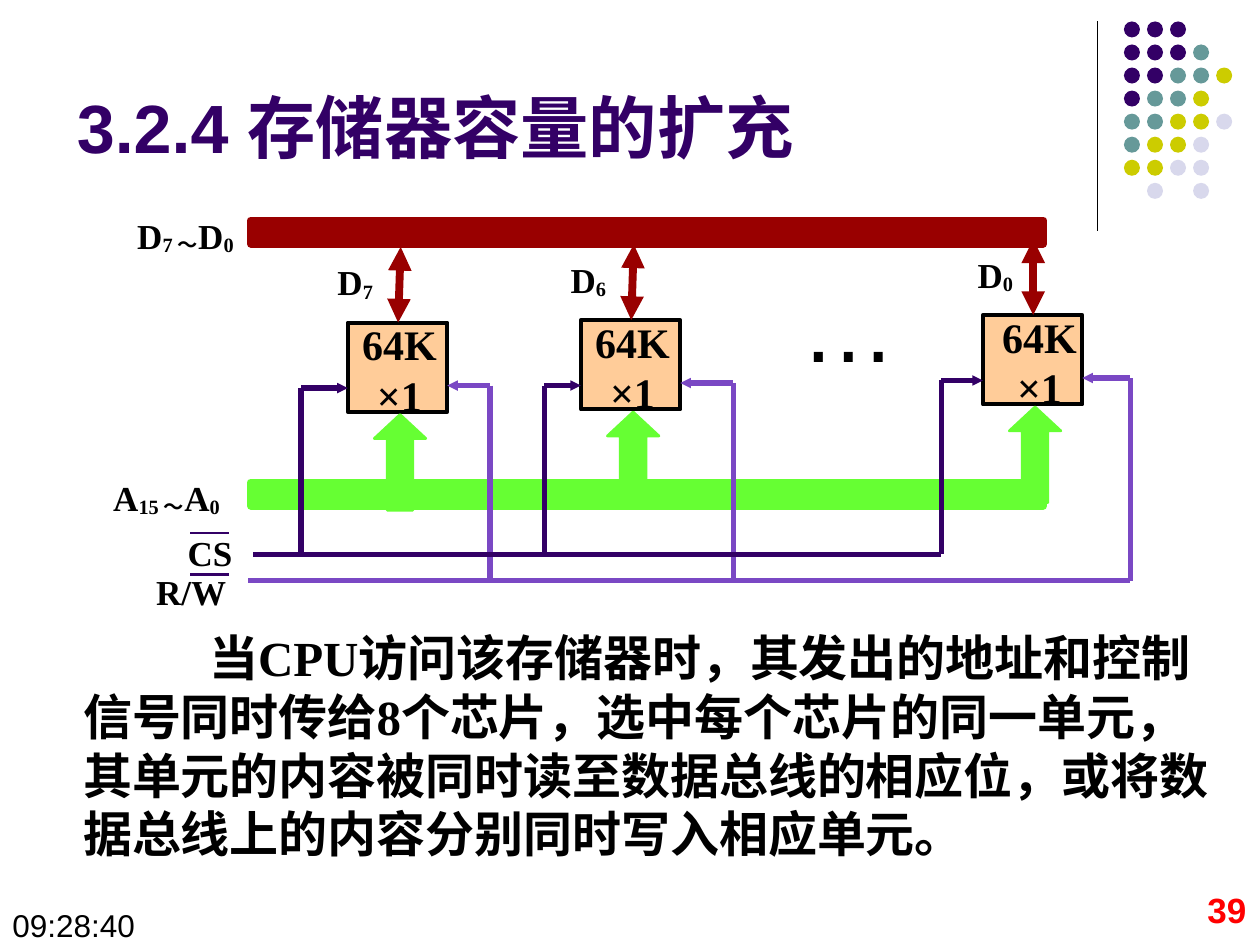
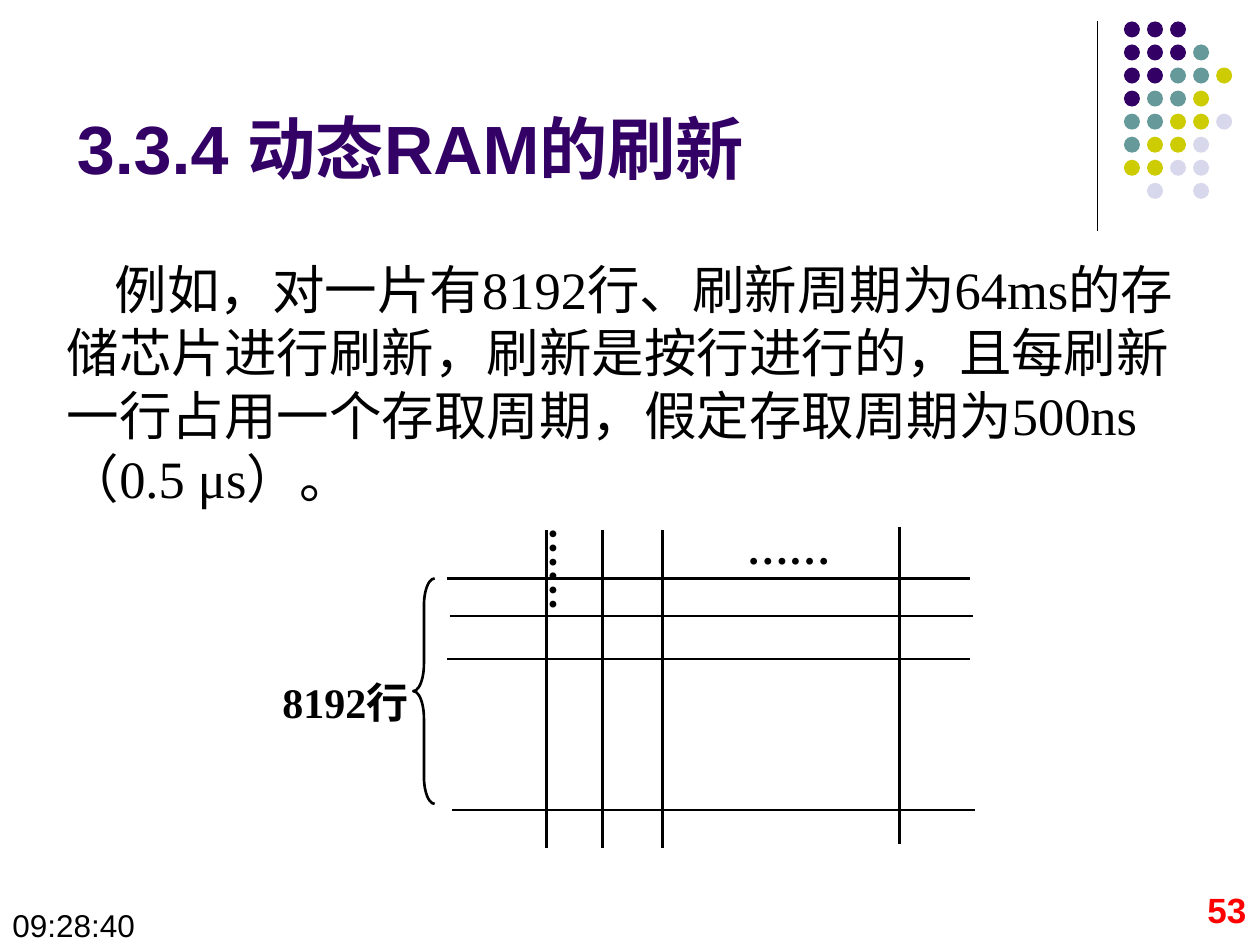
"""Build two slides on memory expansion and dynamic RAM refresh."""
from dataclasses import dataclass

from lxml.etree import SubElement
from pptx import Presentation
from pptx.dml.color import RGBColor
from pptx.enum.shapes import MSO_CONNECTOR, MSO_SHAPE
from pptx.enum.text import MSO_ANCHOR, MSO_AUTO_SIZE, PP_ALIGN
from pptx.oxml.ns import qn
from pptx.util import Inches, Pt


@dataclass(frozen=True)
class Theme:
    """Colours, fonts and type sizes of the deck."""
    ink: str = "000000"
    purple: str = "330066"
    violet: str = "7A48C4"
    teal: str = "669999"
    olive: str = "CCCC00"
    lilac: str = "D8D8EC"
    red: str = "990000"
    green: str = "66FF33"
    peach: str = "FFCC99"
    page: str = "FF0000"
    sans: str = "Arial"
    serif: str = "Times New Roman"
    title_size: int = 39
    ellipsis_size: int = 54
    chip_size: int = 24
    label_size: int = 20
    clock_size: int = 18


@dataclass(frozen=True)
class Chip:
    """A memory chip with its data bit and control-line columns."""
    left: float
    top: float
    bit: str
    select_column: float
    write_column: float
    lean: float = 0
    text_shift: float = 0


THEME = Theme()
COLUMNS, ROWS = 100, 75
CELL = Inches(0.1)
CHIP_WIDTH, CHIP_HEIGHT = 7.9, 7.1
SELECT_ROW, WRITE_ROW = 44, 46.1
BUS_LEFT, BUS_WIDTH = 19.9, 62.9
DOT_ROWS = ("PPP", "PPPT", "PPTTY", "PTTY", "TTYYL", "TYYL", "YYLL", " L L")
DOT_PITCH, DOT_SIZE = 1.83, 1.27
CHIPS = (
    Chip(27.6, 25.6, "7", 23.9, 38.9, lean=0.2),
    Chip(46.1, 25.4, "6", 43.2, 58.2, lean=0.2),
    Chip(78, 25, "0", 74.7, 89.7, text_shift=0.4),
)


def cells(*counts):
    """Convert grid counts to lengths."""
    return [round(count * CELL) for count in counts]


def add_run(paragraph, text, size, font=THEME.serif, colour=THEME.ink, bold=True, baseline=0):
    """Append one formatted run."""
    run = paragraph.add_run()
    run.text = text
    run.font.size = Pt(size)
    run.font.name = font
    run.font.bold = bold
    run.font.color.rgb = RGBColor.from_string(colour)
    if baseline:
        run._r.get_or_add_rPr().set("baseline", str(baseline * 1000))


def add_textbox(slide, box, align=PP_ALIGN.LEFT):
    """Add a wrapping text box and return it with its first paragraph."""
    shape = slide.shapes.add_textbox(*cells(*box))
    shape.text_frame.word_wrap = True
    paragraph = shape.text_frame.paragraphs[0]
    paragraph.alignment = align
    return shape, paragraph


def add_label(slide, box, *parts):
    """Add a signal name; parts alternate between plain and lowered text."""
    _, paragraph = add_textbox(slide, box)
    for index, part in enumerate(parts):
        add_run(paragraph, part, THEME.label_size, baseline=-10 * (index % 2))


def add_block(shapes, kind, box, fill=None, line=None, width=0):
    """Add a preset shape with a flat fill and outline."""
    shape = shapes.add_shape(kind, *cells(*box))
    shape.shadow.inherit = False
    if fill:
        shape.fill.solid()
        shape.fill.fore_color.rgb = RGBColor.from_string(fill)
    else:
        shape.fill.background()
    if line:
        shape.line.color.rgb = RGBColor.from_string(line)
        shape.line.width = Pt(width)
    else:
        shape.line.fill.background()
    return shape


def add_line(shapes, start, end, colour=THEME.ink, width=1.5, ends=(), head="med"):
    """Add a straight line with triangles at the named ends."""
    connector = shapes.add_connector(MSO_CONNECTOR.STRAIGHT, *cells(*start, *end))
    connector.line.color.rgb = RGBColor.from_string(colour)
    connector.line.width = Pt(width)
    line = connector.line._get_or_add_ln()
    for name in ends:
        SubElement(line, qn(f"a:{name}"), type="triangle", w=head, len=head)
    SubElement(connector.element.spPr, qn("a:effectLst"))


def place(placeholder, box):
    """Move a placeholder and return its first paragraph."""
    placeholder.left, placeholder.top, placeholder.width, placeholder.height = cells(*box)
    placeholder.text_frame.auto_size = MSO_AUTO_SIZE.NONE
    placeholder.text_frame.word_wrap = True
    paragraph = placeholder.text_frame.paragraphs[0]
    paragraph.alignment = PP_ALIGN.LEFT
    paragraph.space_before = Pt(0)
    return paragraph


def set_title(slide, box, text):
    """Fill the title placeholder."""
    paragraph = place(slide.shapes.title, box)
    slide.shapes.title.text_frame.vertical_anchor = MSO_ANCHOR.BOTTOM
    add_run(paragraph, text, THEME.title_size, THEME.sans, THEME.purple)


def set_body(slide, box, text, size, indent, bold):
    """Fill the body placeholder with one indented paragraph."""
    paragraph = place(slide.placeholders[1], box)
    properties = paragraph._p.get_or_add_pPr()
    properties.set("marL", "0")
    properties.set("indent", str(cells(indent)[0]))
    SubElement(properties, qn("a:buNone"))
    add_run(paragraph, text, size, bold=bold)


def add_footer(slide, number):
    """Add the clock and the page number."""
    _, page = add_textbox(slide, (76.6, ROWS - 5, 23.3, 5), PP_ALIGN.RIGHT)
    add_run(page, number, THEME.label_size, THEME.sans, THEME.page)
    _, clock = add_textbox(slide, (0, ROWS - 3.6, 13, 3.5))
    add_run(clock, "09:28:40", THEME.clock_size, THEME.sans, bold=False)


def decorate_layout(layout, slide):
    """Put the rule and the dot pattern on the shared layout."""
    for placeholder in list(layout.placeholders):
        if placeholder.placeholder_format.idx >= 10:
            placeholder.element.getparent().remove(placeholder.element)
    colours = {"P": THEME.purple, "T": THEME.teal, "Y": THEME.olive, "L": THEME.lilac}
    group = slide.shapes.add_group_shape()
    add_line(group.shapes, (87.1, 1.7), (87.1, 18.3), width=0.75)
    for row, pattern in enumerate(DOT_ROWS):
        for column, key in enumerate(pattern):
            if key in colours:
                box = (89.2 + column * DOT_PITCH, 1.7 + row * DOT_PITCH, DOT_SIZE, DOT_SIZE)
                add_block(group.shapes, MSO_SHAPE.OVAL, box, colours[key])
    layout.shapes.element.append(group.element)


def add_chip(slide, chip):
    """Draw a chip with its address and data arrows."""
    add_block(slide.shapes, MSO_SHAPE.RECTANGLE,
              (chip.left, chip.top, CHIP_WIDTH, CHIP_HEIGHT), THEME.peach, THEME.ink, 2.25)
    arrow = add_block(slide.shapes, MSO_SHAPE.UP_ARROW,
                      (chip.left + 2.1, chip.top + 7.3, 4.1, 7.6), THEME.green, THEME.green, 1.5)
    arrow.adjustments[1] = 0.465
    middle = chip.left + 4
    add_line(slide.shapes, (middle + chip.lean, chip.top - 6), (middle, chip.top),
             THEME.red, 4.5, ("headEnd", "tailEnd"))


def add_control_lines(slide, chip):
    """Draw the select and write lines that reach a chip."""
    row = chip.top + 5.2
    right = chip.left + CHIP_WIDTH
    shapes = slide.shapes
    add_line(shapes, (chip.select_column, row), (chip.left, row), THEME.purple, 3, ("tailEnd",), "sm")
    add_line(shapes, (chip.select_column, row), (chip.select_column, SELECT_ROW), THEME.purple, 3)
    add_line(shapes, (chip.write_column, row - 0.2), (right, row - 0.2), THEME.violet, 3, ("tailEnd",), "sm")
    add_line(shapes, (chip.write_column, row - 0.2), (chip.write_column, WRITE_ROW), THEME.violet, 3)


def add_chip_text(slide, chip):
    """Write the capacity and the data bit of a chip."""
    add_label(slide, (chip.left - 1.8 + chip.text_shift, chip.top - 5.4, 12.9, 4.3), "D", chip.bit)
    box = (chip.left - 3.3 + chip.text_shift, chip.top - 0.8, 14.8, 8.6)
    shape, first = add_textbox(slide, box, PP_ALIGN.CENTER)
    add_run(first, "64K", THEME.chip_size)
    second = shape.text_frame.add_paragraph()
    second.alignment = PP_ALIGN.CENTER
    second.line_spacing = 0.4
    second.space_before = Pt(15)
    add_run(second, "×1", THEME.chip_size)


def add_memory_diagram(slide):
    """Draw the chips, the buses and the control lines."""
    for chip in CHIPS:
        add_chip(slide, chip)
    for top, colour in ((38.3, THEME.green), (17.5, THEME.red)):
        add_block(slide.shapes, MSO_SHAPE.RECTANGLE,
                  (BUS_LEFT, top, BUS_WIDTH, 1.85), colour, colour, 4.5)
    for chip in CHIPS:
        add_control_lines(slide, chip)
        add_chip_text(slide, chip)
    last = CHIPS[-1]
    add_line(slide.shapes, (20.1, SELECT_ROW), (last.select_column, SELECT_ROW), THEME.purple, 3)
    add_line(slide.shapes, (19.7, WRITE_ROW), (last.write_column, WRITE_ROW), THEME.violet, 3)
    add_label(slide, (9.9, 16.5, 12.9, 4.3), "D", "7 ～", "D", "0")
    add_label(slide, (8, 37.3, 12.9, 4.3), "A", "15 ～", "A", "0")
    add_label(slide, (13.9, 41.7, 12.9, 4.3), "CS")
    add_label(slide, (11.4, 44.8, 8.2, 4.3), "R/W")
    for row in (42.3, 45.6):
        add_line(slide.shapes, (15.1, row), (18.2, row), THEME.purple)
    _, ellipsis = add_textbox(slide, (62.6, 20.8, 6.3, 10.1))
    add_run(ellipsis, "…", THEME.ellipsis_size, THEME.sans, bold=False)


def add_refresh_diagram(slide):
    """Draw the rows and columns of the storage matrix."""
    for left, row in ((35.5, 45.9), (35.7, 48.9), (35.5, 52.3), (35.9, 64.3)):
        add_line(slide.shapes, (left, row), (left + 41.5, row))
    for column, top in ((43.4, 42.1), (47.8, 42.1), (52.6, 42.1), (71.4, 41.8)):
        add_line(slide.shapes, (column, top), (column, top + 25.2))
    brace = add_block(slide.shapes, MSO_SHAPE.LEFT_BRACE, (32.8, 45.9, 1.7, 17.9), line=THEME.ink, width=1.5)
    brace.adjustments[0] = 1.271
    captions = (("8192行", (20.5, 53.2, 13.8, 5), 0),
                ("……", (53.2, 41, 18.8, 3.5), 0),
                ("……", (36.2, 42.7, 13.2, 5), 270))
    for text, box, rotation in captions:
        shape, paragraph = add_textbox(slide, box, PP_ALIGN.CENTER)
        shape.rotation = rotation
        add_run(paragraph, text, THEME.chip_size)


def main():
    """Build and save the presentation."""
    presentation = Presentation()
    presentation.slide_width, presentation.slide_height = cells(COLUMNS, ROWS)
    layout = presentation.slide_layouts[1]

    expansion = presentation.slides.add_slide(layout)
    decorate_layout(layout, expansion)
    set_title(expansion, (5.1, 6, 60.7, 7.8), "3.2.4 存储器容量的扩充")
    set_body(expansion, (5.6, 49.3, 91.4, 19.7),
             "当CPU访问该存储器时，其发出的地址和控制信号同时传给8个芯片，选中每个芯片的同一单元，"
             "其单元的内容被同时读至数据总线的相应位，或将数据总线上的内容分别同时写入相应单元。",
             28, 10, True)
    add_memory_diagram(expansion)
    add_footer(expansion, "39")

    refresh = presentation.slides.add_slide(layout)
    set_title(refresh, (5.1, 6, 58.3, 9.4), "3.3.4 动态RAM的刷新")
    set_body(refresh, (4.3, 19.9, 90.8, 21),
             "例如，对一片有8192行、刷新周期为64ms的存储芯片进行刷新，刷新是按行进行的，"
             "且每刷新一行占用一个存取周期，假定存取周期为500ns（0.5 μs）。",
             30, 3.8, False)
    add_refresh_diagram(refresh)
    add_footer(refresh, "53")

    presentation.save("out.pptx")


if __name__ == "__main__":
    main()
